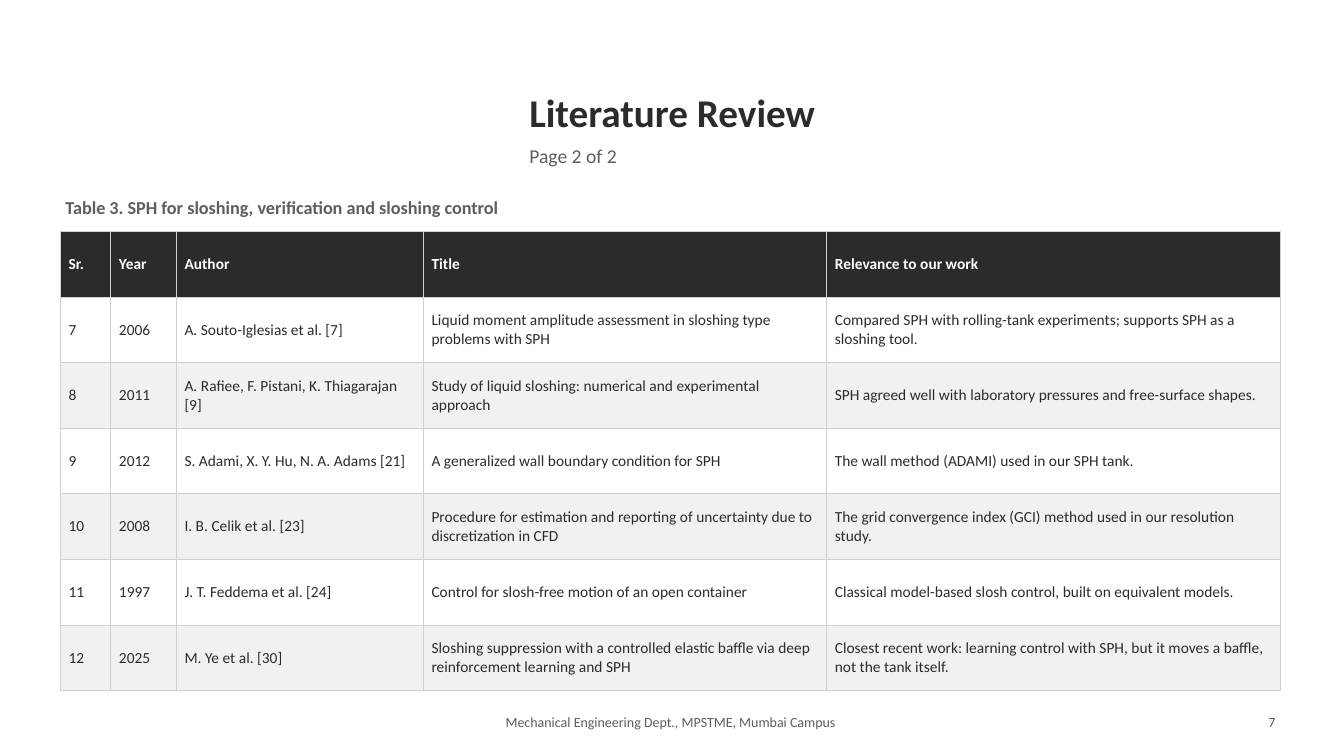
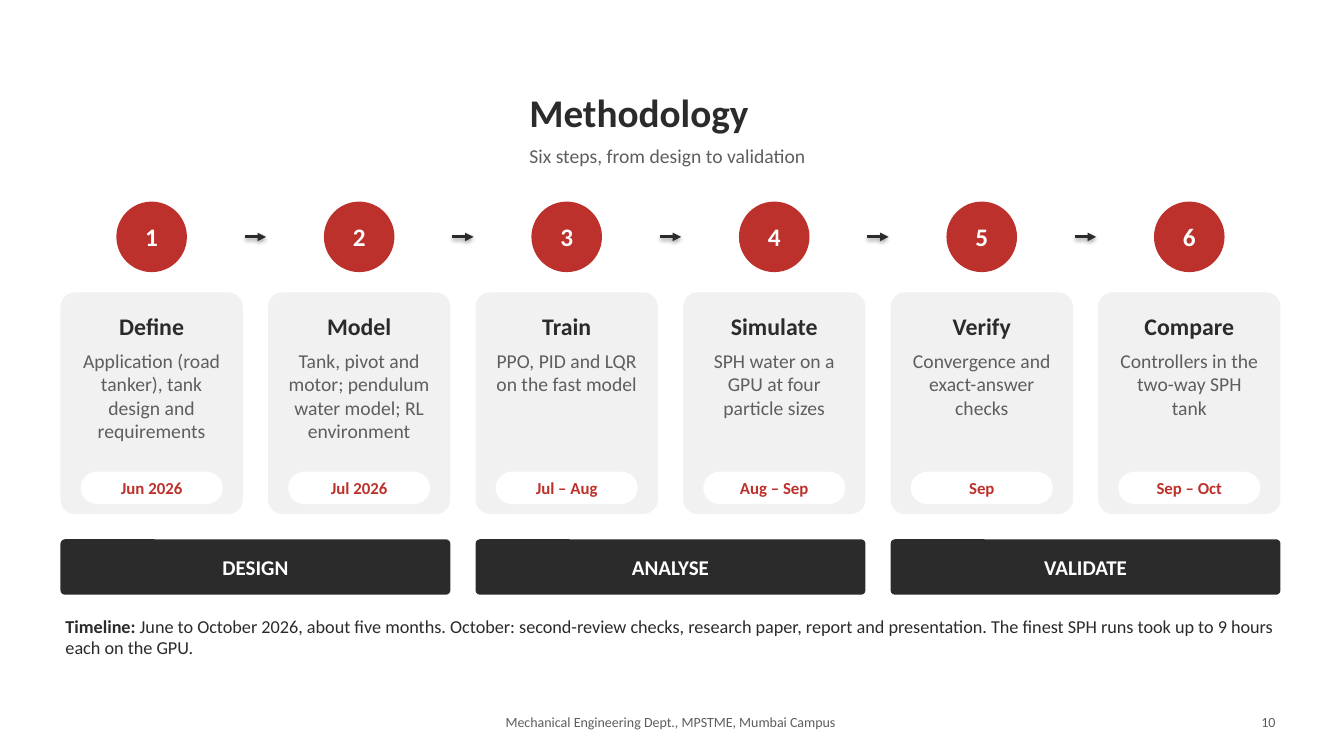
"""Build the literature review and methodology slides."""
import pptx
import pptx.dml.color
import pptx.enum.shapes
import pptx.enum.text
import pptx.oxml
import pptx.oxml.ns
import pptx.util

Inches = pptx.util.Inches
Pt = pptx.util.Pt
SHAPE = pptx.enum.shapes.MSO_SHAPE
ALIGN = pptx.enum.text.PP_ALIGN
ANCHOR = pptx.enum.text.MSO_ANCHOR
AUTO_SIZE = pptx.enum.text.MSO_AUTO_SIZE

COLORS = {"dark": "2B2B2B", "grey": "5E5E5E", "light": "F1F1F1",
          "white": "FFFFFF", "red": "BC312C", "border": "D0D0D0"}
FONT = "Calibri"
FOOTER = "Mechanical Engineering Dept., MPSTME, Mumbai Campus"
LEFT, WIDTH = 0.6, 12.1

CAPTION = "Table 3. SPH for sloshing, verification and sloshing control"
COLUMNS = [("Sr.", 0.5), ("Year", 0.65), ("Author", 2.45), ("Title", 4),
           ("Relevance to our work", 4.5)]
PAPERS = [
    ("7", "2006", "A. Souto-Iglesias et al. [7]",
     "Liquid moment amplitude assessment in sloshing type problems with SPH",
     "Compared SPH with rolling-tank experiments; supports SPH as a sloshing tool."),
    ("8", "2011", "A. Rafiee, F. Pistani, K. Thiagarajan [9]",
     "Study of liquid sloshing: numerical and experimental approach",
     "SPH agreed well with laboratory pressures and free-surface shapes."),
    ("9", "2012", "S. Adami, X. Y. Hu, N. A. Adams [21]",
     "A generalized wall boundary condition for SPH",
     "The wall method (ADAMI) used in our SPH tank."),
    ("10", "2008", "I. B. Celik et al. [23]",
     "Procedure for estimation and reporting of uncertainty due to discretization in CFD",
     "The grid convergence index (GCI) method used in our resolution study."),
    ("11", "1997", "J. T. Feddema et al. [24]",
     "Control for slosh-free motion of an open container",
     "Classical model-based slosh control, built on equivalent models."),
    ("12", "2025", "M. Ye et al. [30]",
     "Sloshing suppression with a controlled elastic baffle via deep reinforcement "
     "learning and SPH",
     "Closest recent work: learning control with SPH, but it moves a baffle, "
     "not the tank itself."),
]
ROW_HEIGHT = 0.65

STEPS = [
    ("Define", "Application (road tanker), tank design and requirements", "Jun 2026"),
    ("Model", "Tank, pivot and motor; pendulum water model; RL environment", "Jul 2026"),
    ("Train", "PPO, PID and LQR on the fast model", "Jul – Aug"),
    ("Simulate", "SPH water on a GPU at four particle sizes", "Aug – Sep"),
    ("Verify", "Convergence and exact-answer checks", "Sep"),
    ("Compare", "Controllers in the two-way SPH tank", "Sep – Oct"),
]
PHASES = ["DESIGN", "ANALYSE", "VALIDATE"]
TIMELINE = [
    ("Timeline: ", True),
    ("June to October 2026, about five months. October: second-review checks, research "
     "paper, report and presentation. The finest SPH runs took up to 9 hours each on "
     "the GPU.", False),
]
GAP, CIRCLE = 0.25, 0.7


def rgb(name):
    return pptx.dml.color.RGBColor.from_string(COLORS[name])


def style(p, size, color, bold=False, align=ALIGN.LEFT, after=6):
    p.alignment = align
    p.space_after = Pt(after)
    p.font.name = FONT
    p.font.size = Pt(size)
    p.font.bold = bold
    p.font.color.rgb = rgb(color)


def set_frame(tf, inset, anchor):
    tf.word_wrap = True
    tf.vertical_anchor = anchor
    tf.margin_left = tf.margin_right = tf.margin_top = tf.margin_bottom = Inches(inset)


def add_text(slide, box, runs, size, color, bold=False, align=ALIGN.LEFT):
    tf = slide.shapes.add_textbox(*map(Inches, box)).text_frame
    set_frame(tf, 0.05, ANCHOR.TOP)
    tf.auto_size = AUTO_SIZE.SHAPE_TO_FIT_TEXT
    p = tf.paragraphs[0]
    style(p, size, color, bold, align)
    for text, run_bold in runs:
        r = p.add_run()
        r.text = text
        if run_bold != bold:
            r.font.bold = run_bold


def add_shape(slide, kind, box, fill, lines, inset, anchor=ANCHOR.MIDDLE, adj=None, after=4):
    sp = slide.shapes.add_shape(kind, *map(Inches, box))
    sp.shadow.inherit = False
    sp.fill.solid()
    sp.fill.fore_color.rgb = rgb(fill)
    sp.line.fill.background()
    if adj is not None:
        sp.adjustments[0] = adj
    tf = sp.text_frame
    set_frame(tf, inset, anchor)
    tf.text = "\n".join(line[0] for line in lines)
    for p, (_, size, color, bold) in zip(tf.paragraphs, lines):
        style(p, size, color, bold, ALIGN.CENTER, after)


def add_arrow(slide, x1, x2, y):
    line = slide.shapes.add_connector(pptx.enum.shapes.MSO_CONNECTOR.STRAIGHT,
                                      *map(Inches, (x1, y, x2, y))).line
    line.color.rgb = rgb("dark")
    line.width = Pt(2)
    tail = pptx.oxml.parse_xml(f'<a:tailEnd {pptx.oxml.ns.nsdecls("a")} type="triangle"/>')
    line._get_or_add_ln().append(tail)


def add_slide(prs, title, subtitle, number):
    slide = prs.slides.add_slide(prs.slide_layouts[5])
    sp = slide.shapes.title
    sp.left, sp.top, sp.width, sp.height = map(Inches, (5.2, 0.8, 7.75, 0.62))
    tf = sp.text_frame
    tf.text = title
    set_frame(tf, 0.05, ANCHOR.MIDDLE)
    tf.auto_size = AUTO_SIZE.SHAPE_TO_FIT_TEXT
    style(tf.paragraphs[0], 28, "dark", True)
    add_text(slide, (5.2, 1.38, 7.75, 0.38), [(subtitle, False)], 14, "grey")
    add_text(slide, (3.2, 7.03, 6.9, 0.28), [(FOOTER, False)], 10, "grey", align=ALIGN.CENTER)
    add_text(slide, (11.9, 7.03, 0.8, 0.28), [(number, False)], 10, "grey", align=ALIGN.RIGHT)
    return slide


def format_cell(cell, text, fill, color, bold):
    cell.text = text
    cell.vertical_anchor = ANCHOR.MIDDLE
    cell.margin_left = cell.margin_right = Inches(0.08)
    cell.margin_top = cell.margin_bottom = Inches(0.04)
    style(cell.text_frame.paragraphs[0], 11, color, bold, after=0)
    tc_pr = cell._tc.get_or_add_tcPr()
    for side in "LRTB":
        tc_pr.append(pptx.oxml.parse_xml(
            f'<a:ln{side} {pptx.oxml.ns.nsdecls("a")} w="{Pt(0.75)}"><a:solidFill>'
            f'<a:srgbClr val="{COLORS["border"]}"/></a:solidFill></a:ln{side}>'))
    cell.fill.solid()
    cell.fill.fore_color.rgb = rgb(fill)


def build_review(prs):
    slide = add_slide(prs, "Literature Review", "Page 2 of 2", "7")
    add_text(slide, (LEFT, 1.9, WIDTH, 0.35), [(CAPTION, True)], 13, "grey", True)
    rows = [[name for name, _ in COLUMNS]] + PAPERS
    box = (LEFT, 2.3, WIDTH, ROW_HEIGHT * len(rows))
    table = slide.shapes.add_table(len(rows), len(COLUMNS), *map(Inches, box)).table
    for column, (_, width) in zip(table.columns, COLUMNS):
        column.width = Inches(width)
    for i, row in enumerate(rows):
        header = i == 0
        fill = "dark" if header else "white" if i % 2 else "light"
        for j, text in enumerate(row):
            format_cell(table.cell(i, j), text, fill, "white" if header else "dark", header)


def build_methodology(prs):
    slide = add_slide(prs, "Methodology", "Six steps, from design to validation", "10")
    card = (WIDTH - GAP * (len(STEPS) - 1)) / len(STEPS)
    for i, (name, detail, date) in enumerate(STEPS):
        x = LEFT + i * (card + GAP)
        add_shape(slide, SHAPE.OVAL, (x + (card - CIRCLE) / 2, 2, CIRCLE, CIRCLE), "red",
                  [(str(i + 1), 18, "white", True)], 0)
        add_shape(slide, SHAPE.ROUNDED_RECTANGLE, (x, 2.9, card, 2.2), "light",
                  [(name, 17, "dark", True), (detail, 14, "grey", False)],
                  0.15, ANCHOR.TOP, 0.08, 6)
        add_shape(slide, SHAPE.ROUNDED_RECTANGLE, (x + 0.2, 4.68, card - 0.4, 0.32), "white",
                  [(date, 12, "red", True)], 0.04, adj=0.5)
        if i < len(STEPS) - 1:
            add_arrow(slide, x + card + 0.02, x + card + GAP - 0.02, 2 + CIRCLE / 2)
    bar = (WIDTH - GAP * (len(PHASES) - 1)) / len(PHASES)
    for i, phase in enumerate(PHASES):
        add_shape(slide, SHAPE.ROUNDED_RECTANGLE, (LEFT + i * (bar + GAP), 5.35, bar, 0.55),
                  "dark", [(phase, 15, "white", True)], 0.1, adj=0.08)
    add_text(slide, (LEFT, 6.05, WIDTH, 0.45), TIMELINE, 13, "dark")


def main():
    prs = pptx.Presentation()
    prs.slide_width, prs.slide_height = Inches(13.33), Inches(7.5)
    build_review(prs)
    build_methodology(prs)
    prs.save("out.pptx")


if __name__ == "__main__":
    main()
